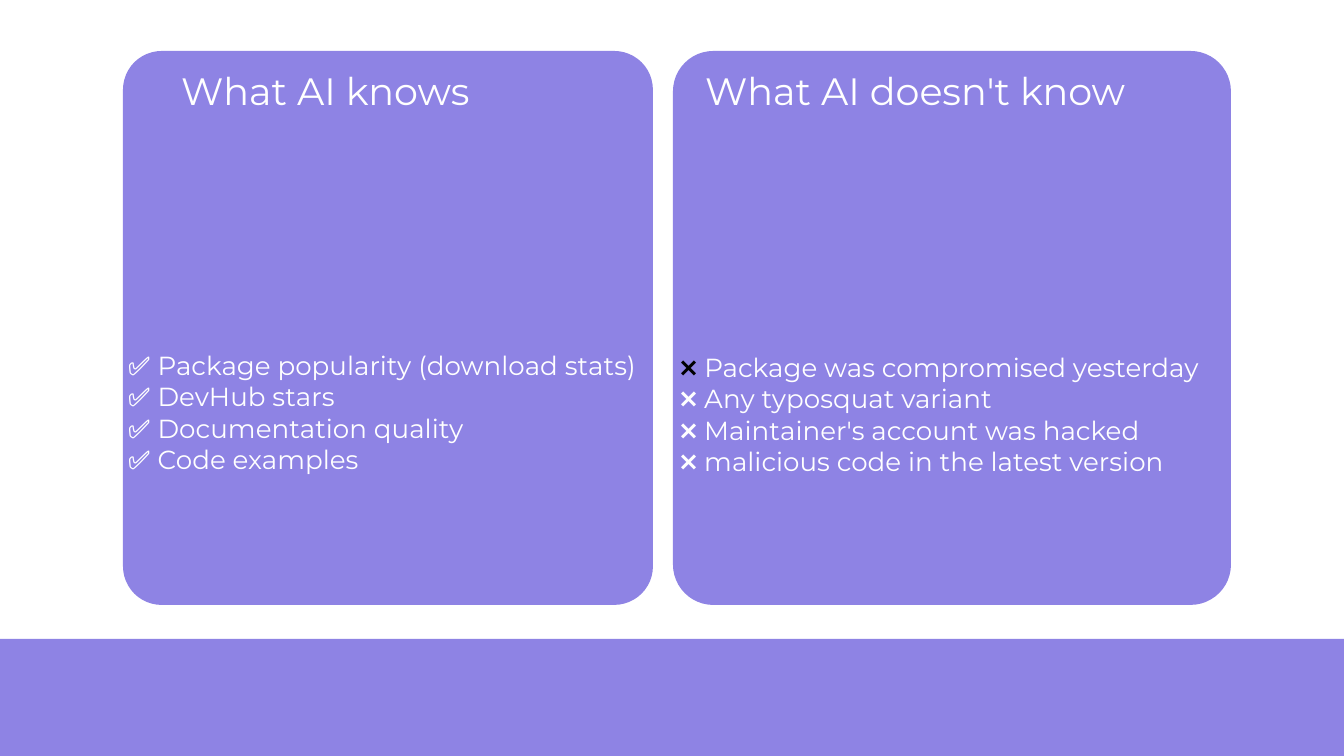
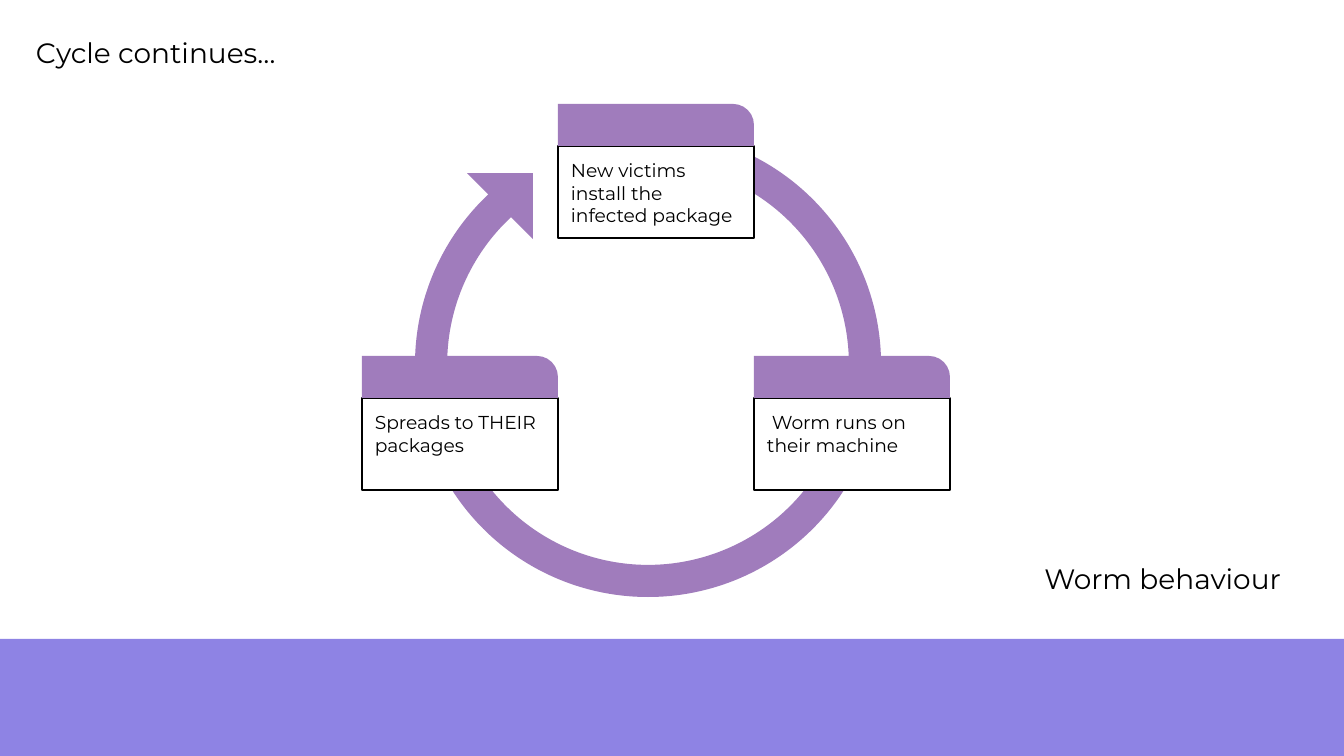
import pptx
import pptx.util
import pptx.dml.color
import pptx.enum.shapes
import pptx.enum.text

KIND = pptx.enum.shapes.MSO_SHAPE
ANCHOR = pptx.enum.text.MSO_ANCHOR
ALIGN = pptx.enum.text.PP_ALIGN
FONT = "Montserrat"
HUES = {"band": "8E83E4", "ring": "A07CBC", "ink": "000000", "paper": "FFFFFF"}
WIDE, HIGH = 1344, 756


def px(count):
    """Turn pixels into EMU."""
    return round(count * 914400 / 134.4)


def hue(name):
    """Look up a named colour."""
    return pptx.dml.color.RGBColor.from_string(HUES[name])


def write(frame, rows, size=10, color="ink", align=ALIGN.LEFT, anchor=ANCHOR.TOP, inset=(13, 13, 13, 13)):
    """Fill a text frame; a row is a string or a list of (text, colour) runs."""
    frame.word_wrap = True
    frame.vertical_anchor = anchor
    frame.margin_left, frame.margin_top, frame.margin_right, frame.margin_bottom = map(px, inset)
    for index, row in enumerate(rows):
        para = frame.add_paragraph() if index else frame.paragraphs[0]
        para.alignment = align
        for words, shade in [(row, color)] if isinstance(row, str) else row:
            run = para.add_run()
            run.text = words
            run.font.name = FONT
            run.font.size = pptx.util.Pt(size)
            run.font.color.rgb = hue(shade)


def label(shapes, box, rows, **style):
    """Add a text box."""
    area = shapes.add_textbox(*map(px, box))
    write(area.text_frame, rows, **style)


def block(shapes, kind, box, fill, line=None, turn=0, bends=()):
    """Add a flat preset shape."""
    shape = shapes.add_shape(kind, *map(px, box))
    shape.shadow.inherit = False
    shape.fill.solid()
    shape.fill.fore_color.rgb = hue(fill)
    if line:
        shape.line.color.rgb = hue(line)
        shape.line.width = pptx.util.Pt(0.75)
    else:
        shape.line.fill.background()
    shape.rotation = turn
    for index, bend in enumerate(bends):
        shape.adjustments[index] = bend
    return shape


def start(deck):
    """Add a blank slide with the bottom band."""
    slide = deck.slides.add_slide(deck.slide_layouts[6])
    block(slide.shapes, KIND.RECTANGLE, (0, 639, WIDE, HIGH - 639), "band")
    return slide.shapes


def panel(shapes, box, title, shift, rows, inner):
    """Draw a rounded panel with a title and a list placed from its corner."""
    left, top, wide, high = box
    parts = shapes.add_group_shape().shapes
    block(parts, KIND.ROUNDED_RECTANGLE, box, "band", bends=[0.073])
    dx, dy, width, height = inner
    label(parts, (left + dx, top + dy, width, height), rows, size=14, color="paper",
          anchor=ANCHOR.BOTTOM, inset=(16, 16, 16, 32))
    label(parts, (left + shift, top, 504, 163), [title], size=20.4, color="paper",
          inset=(32, 16, 32, 16))


def card(shapes, box, words):
    """Draw a cycle step: a bordered note under a tab."""
    left, top, wide, high = box
    tab = 42
    parts = shapes.add_group_shape().shapes
    note = block(parts, KIND.RECTANGLE, (left, top + tab, wide, high - tab), "paper", line="ink")
    write(note.text_frame, [words])
    block(parts, KIND.ROUND_1_RECTANGLE, (left, top, wide, tab), "ring", bends=[0.5])


def ring(shapes, box):
    """Draw the circular arrow."""
    left, top, wide, high = box
    parts = shapes.add_group_shape().shapes
    block(parts, KIND.BLOCK_ARC, box, "ring", turn=180, bends=[54, 30.13, 0.069])
    block(parts, KIND.RIGHT_TRIANGLE, (left + 52, top + 42, 66, 66), "ring", turn=180)


def limits(deck):
    """Build the slide on what AI knows and does not know."""
    shapes = start(deck)
    known = ["Package popularity (download stats)", "DevHub stars",
             "Documentation quality", "Code examples"]
    missed = ["Any typosquat variant", "Maintainer's account was hacked",
              "malicious code in the latest version"]
    panel(shapes, (123, 51, 530, 554), "What AI knows", 26,
          ["✅ " + item for item in known], (-11, 190, 581, 266))
    lead = [("❌ ", "ink"), ("Package was compromised yesterday", "paper")]
    panel(shapes, (673, 51, 558, 554), "What AI doesn't know", 0,
          [lead] + ["❌ " + item for item in missed], (-9, 102, 601, 356))


def cycle(deck):
    """Build the slide on the worm cycle."""
    shapes = start(deck)
    ring(shapes, (415, 131, 466, 466))
    wide, high, left, top, drop = 196, 134, 362, 104, 252
    steps = [(2, 1, " Worm runs on their machine"),
             (1, 0, "New victims install the infected package"),
             (0, 1, "Spreads to THEIR packages")]
    for col, row, words in steps:
        card(shapes, (left + col * wide, top + row * drop, wide, high), words)
    label(shapes, (23, 23, 441, 60), ["Cycle continues…"], size=15)
    label(shapes, (853, 549, 441, 60), ["Worm behaviour"], size=15, align=ALIGN.RIGHT)


def main():
    """Build and save the deck."""
    deck = pptx.Presentation()
    deck.slide_width, deck.slide_height = px(WIDE), px(HIGH)
    limits(deck)
    cycle(deck)
    deck.save("out.pptx")


if __name__ == "__main__":
    main()
